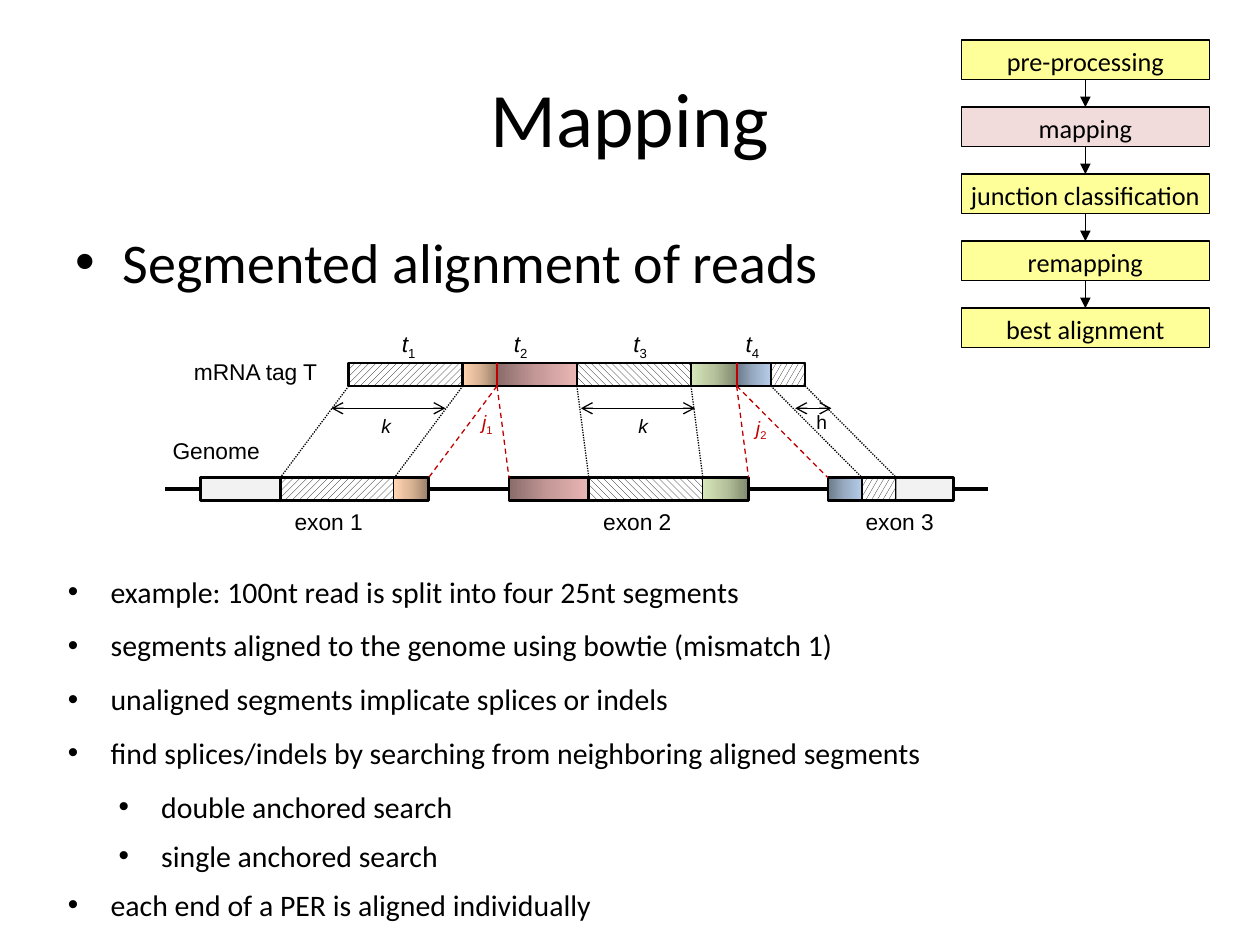
from copy import deepcopy
from itertools import accumulate

from lxml.etree import SubElement
from pptx import Presentation
from pptx.dml.color import RGBColor
from pptx.enum.dml import MSO_LINE, MSO_PATTERN
from pptx.enum.shapes import MSO_CONNECTOR, MSO_SHAPE
from pptx.enum.text import MSO_ANCHOR, MSO_AUTO_SIZE, PP_ALIGN
from pptx.oxml.ns import qn
from pptx.util import Cm, Pt

BLACK = RGBColor(0x00, 0x00, 0x00)
WHITE = RGBColor(0xFF, 0xFF, 0xFF)
RED = RGBColor(0xC0, 0x00, 0x00)
YELLOW = RGBColor(0xFF, 0xFF, 0x99)
PINK = RGBColor(0xF2, 0xDC, 0xDB)
GREY = RGBColor(0xF2, 0xF2, 0xF2)
ORANGES = [RGBColor(0x98, 0x7E, 0x68), RGBColor(0xD9, 0xB3, 0x94), RGBColor(0xFF, 0xD5, 0xB2)]
ROSES = [RGBColor(0x8A, 0x6C, 0x6B), RGBColor(0xC5, 0x99, 0x98), RGBColor(0xE9, 0xB6, 0xB4)]
GREENS = [RGBColor(0x80, 0x89, 0x6E), RGBColor(0xB6, 0xC2, 0x9C), RGBColor(0xD8, 0xE7, 0xBA)]
BLUES = [RGBColor(0x6B, 0x79, 0x89), RGBColor(0x99, 0xAC, 0xC3), RGBColor(0xB5, 0xCC, 0xE8)]

# Sequence pieces: hatch with outline width, or gradient with angle
HATCHES = {
    "first": (MSO_PATTERN.WIDE_UPWARD_DIAGONAL, 1.5),
    "third": (MSO_PATTERN.WIDE_DOWNWARD_DIAGONAL, 1.5),
    "tail": (MSO_PATTERN.LARGE_CONFETTI, 1),
}
GRADIENTS = {"orange": (ORANGES, 180), "rose": (ROSES, 0),
             "green": (GREENS, 180), "blue": (BLUES, 0)}

# Lengths in cm; piece lengths are fractions of one read segment
SEGMENT, STRIP_HEIGHT = 2.3, 0.46
TAG_LEFT, TAG_TOP, GENOME_TOP = 7.03, 7.32, 9.63
TAG = [("first", 1), ("orange", 0.3), ("rose", 0.7), ("third", 1),
       ("green", 0.4), ("blue", 0.3), ("tail", 0.3)]
EXONS = [
    (4.04, [("plain", 0.7), ("first", 1), ("orange", 0.3)]),
    (10.26, [("rose", 0.7), ("third", 1), ("green", 0.4)]),
    (16.69, [("blue", 0.3), ("tail", 0.3), ("plain", 0.5)]),
]
STEPS = ["pre-processing", "mapping", "junction classification", "remapping", "best alignment"]
NOTES = [
    ("example: 100nt read is split into four 25nt segments", 0, 10.3),
    ("segments aligned to the genome using bowtie (mismatch 1)", 0, 10.3),
    ("unaligned segments implicate splices or indels", 0, 10.3),
    ("find splices/indels by searching from neighboring aligned segments", 0, 10.3),
    ("double anchored search", 1, 7.7),
    ("single anchored search", 1, 7.7),
    ("each end of a PER is aligned individually", 0, 7.7),
]
# Text, subscript, left, top, width, height, size, colour
LABELS = [
    ("Genome", "", 3.23, 8.69, 2.29, 0.81, 13, BLACK),
    ("mRNA tag T", "", 3.66, 7.09, 3.05, 0.81, 13, BLACK),
    ("t", "1", 7.85, 6.53, 0.86, 0.81, 13, BLACK),
    ("t", "2", 10.11, 6.53, 0.86, 0.81, 13, BLACK),
    ("t", "3", 12.52, 6.53, 0.86, 0.81, 13, BLACK),
    ("t", "4", 14.78, 6.53, 0.86, 0.81, 13, BLACK),
    ("k", "", 7.44, 8.23, 0.79, 0.74, 11, BLACK),
    ("k", "", 12.62, 8.23, 0.79, 0.74, 11, BLACK),
    ("h", "", 16.21, 8.15, 0.69, 0.74, 11, BLACK),
    ("j", "1", 9.47, 8.15, 0.79, 0.74, 11, RED),
    ("j", "2", 14.99, 8.26, 0.79, 0.74, 11, RED),
    ("exon 1", "", 5.69, 10.11, 1.91, 0.81, 13, BLACK),
    ("exon 2", "", 11.91, 10.11, 1.91, 0.81, 13, BLACK),
    ("exon 3", "", 17.2, 10.11, 1.91, 0.81, 13, BLACK),
]


def apply(target, values):
    for name, value in values.items():
        setattr(target, name, value)


def set_font(font, size, name="Calibri", color=BLACK, italic=False):
    apply(font, {"size": Pt(size), "name": name, "italic": italic})
    font.color.rgb = color


def place(shape, left, top, width, height):
    apply(shape, {"left": Cm(left), "top": Cm(top), "width": Cm(width), "height": Cm(height)})


def add_box(slide, left, top, width, height, outline=None):
    """Unfilled rectangle; outline is a width in points."""
    box = slide.shapes.add_shape(MSO_SHAPE.RECTANGLE, Cm(left), Cm(top), Cm(width), Cm(height))
    box.shadow.inherit = False
    box.fill.background()
    if outline:
        box.line.color.rgb = BLACK
        box.line.width = Pt(outline)
    else:
        box.line.fill.background()
    return box


def add_line(slide, start, end, color=BLACK, width=0.75, dash=None, head=None, tail=None):
    link = slide.shapes.add_connector(MSO_CONNECTOR.STRAIGHT, *map(Cm, start + end))
    link.line.color.rgb = color
    apply(link.line, {"width": Pt(width), "dash_style": dash})
    properties = link.element.spPr
    outline = properties.find(qn("a:ln"))
    for end_tag, arrow in (("a:headEnd", head), ("a:tailEnd", tail)):
        if arrow:
            SubElement(outline, qn(end_tag), type=arrow)
    SubElement(properties, qn("a:effectLst"))


def fill_gradient(shape, colors, angle):
    shape.fill.gradient()
    shape.fill.gradient_angle = angle
    stops = shape.element.spPr.find(".//" + qn("a:gsLst"))
    stops.insert(1, deepcopy(stops[0]))
    for stop, color, position in zip(shape.fill.gradient_stops, colors, (0, 0.5, 1)):
        stop.color.rgb = color
        stop.position = position


def add_strip(slide, left, top, pieces):
    """Row of sequence pieces; returns the x of every edge."""
    edges = list(accumulate((share * SEGMENT for _, share in pieces), initial=left))
    for (kind, share), x in zip(pieces, edges):
        pattern, outline = HATCHES.get(kind, (None, None))
        piece = add_box(slide, x, top, share * SEGMENT, STRIP_HEIGHT, outline)
        if pattern:
            piece.fill.patterned()
            piece.fill.pattern = pattern
            piece.fill.fore_color.rgb = BLACK
            piece.fill.back_color.rgb = WHITE
        elif kind in GRADIENTS:
            fill_gradient(piece, *GRADIENTS[kind])
        else:
            piece.fill.solid()
            piece.fill.fore_color.rgb = GREY
    return edges


def add_label(slide, text, subscript, left, top, width, height, size, color):
    label = slide.shapes.add_textbox(Cm(left), Cm(top), Cm(width), Cm(height))
    apply(label.text_frame, {"word_wrap": False, "auto_size": MSO_AUTO_SIZE.SHAPE_TO_FIT_TEXT})
    paragraph = label.text_frame.paragraphs[0]
    symbol = paragraph.add_run()
    symbol.text = text
    set_font(symbol.font, size, "Arial", color, italic=text in ("t", "k", "j"))
    if subscript:
        index = paragraph.add_run()
        index.text = subscript
        set_font(index.font, size, "Arial", color)
        index.font._element.set("baseline", "-25000")


def add_headings(slide, title, topic):
    place(title, 1.27, 0.76, 22.86, 3.18)
    place(topic, 1.27, 4.45, 22.83, 1.88)
    for holder, text, size, anchor in ((title, "Mapping", 44, MSO_ANCHOR.MIDDLE),
                                       (topic, "Segmented alignment of reads", 32, MSO_ANCHOR.TOP)):
        frame = holder.text_frame
        frame.text = text
        apply(frame, {"auto_size": MSO_AUTO_SIZE.NONE, "vertical_anchor": anchor})
        frame.paragraphs[0].space_before = Pt(0)
        set_font(frame.paragraphs[0].font, size)


def add_notes(notes):
    place(notes, 1.37, 11.48, 22.83, 6.76)
    frame = notes.text_frame
    apply(frame, {"margin_left": 0, "margin_right": 0, "margin_top": Cm(0.08),
                  "margin_bottom": 0, "auto_size": MSO_AUTO_SIZE.NONE})
    frame.text = "\n".join(text for text, _, _ in NOTES)
    for paragraph, (_, level, gap) in zip(frame.paragraphs, NOTES):
        apply(paragraph, {"level": level, "space_before": Pt(0), "space_after": Pt(gap)})
        properties = paragraph._p.get_or_add_pPr()
        properties.set("marL", str(Cm(0.86 + 1.02 * level)))
        properties.set("indent", str(-Cm(0.86)))
        SubElement(properties, qn("a:buFont"), typeface="Arial")
        SubElement(properties, qn("a:buChar"), char="•")
        set_font(paragraph.font, 17)


def add_workflow(slide):
    left, top, width, height, pitch = 19.38, 0.81, 5, 0.79, 1.35
    middle = left + width / 2
    for row, name in enumerate(STEPS):
        y = top + row * pitch
        step = add_box(slide, left, y, width, height, 0.75)
        step.fill.solid()
        step.fill.fore_color.rgb = PINK if name == "mapping" else YELLOW
        frame = step.text_frame
        frame.text = name
        apply(frame, {"word_wrap": False, "margin_top": Cm(0.18), "margin_bottom": Cm(0.13),
                      "vertical_anchor": MSO_ANCHOR.MIDDLE})
        frame.paragraphs[0].alignment = PP_ALIGN.CENTER
        set_font(frame.paragraphs[0].font, 15)
        if row:
            add_line(slide, (middle, y - pitch + height), (middle, y), tail="triangle")


def add_alignment(slide):
    # Genome with its exons, then the read above it
    axis = GENOME_TOP + STRIP_HEIGHT / 2
    add_line(slide, (3.33, axis), (19.91, axis), width=2.25)
    exons = []
    for left, pieces in EXONS:
        edges = add_strip(slide, left, GENOME_TOP, pieces)
        add_box(slide, left, GENOME_TOP, edges[-1] - left, STRIP_HEIGHT, 1.5)
        exons.append(edges)
    tag = add_strip(slide, TAG_LEFT, TAG_TOP, TAG)
    for segment in (1, 3):
        add_box(slide, TAG_LEFT + segment * SEGMENT, TAG_TOP, SEGMENT, STRIP_HEIGHT, 1.5)

    # Aligned pieces (dotted) and splice junctions (dashed)
    tag_bottom = TAG_TOP + STRIP_HEIGHT
    aligned = [x for edges in exons for x in edges[1:3]]
    for edge, x in zip((0, 1, 3, 4, 6, 7), aligned):
        add_line(slide, (tag[edge], tag_bottom), (x, GENOME_TOP), dash=MSO_LINE.ROUND_DOT)
    for edge, before, after in zip((2, 5), exons, exons[1:]):
        add_line(slide, (tag[edge], TAG_TOP), (tag[edge], tag_bottom), RED, 1)
        for x in (before[-1], after[0]):
            add_line(slide, (tag[edge], tag_bottom), (x, GENOME_TOP), RED, dash=MSO_LINE.DASH)

    # Length arrows and labels
    for start, end in ((6.68, 8.98), (11.71, 14.01), (16.03, 16.76)):
        add_line(slide, (start, 8.23), (end, 8.23), head="arrow", tail="arrow")
    for label in LABELS:
        add_label(slide, *label)


def main():
    deck = Presentation()
    apply(deck, {"slide_width": Cm(25.4), "slide_height": Cm(19.05)})
    slide = deck.slides.add_slide(deck.slide_layouts.get_by_name("Two Content"))
    title, topic, notes = slide.placeholders
    add_headings(slide, title, topic)
    add_notes(notes)
    add_workflow(slide)
    add_alignment(slide)
    deck.save("out.pptx")


if __name__ == "__main__":
    main()
